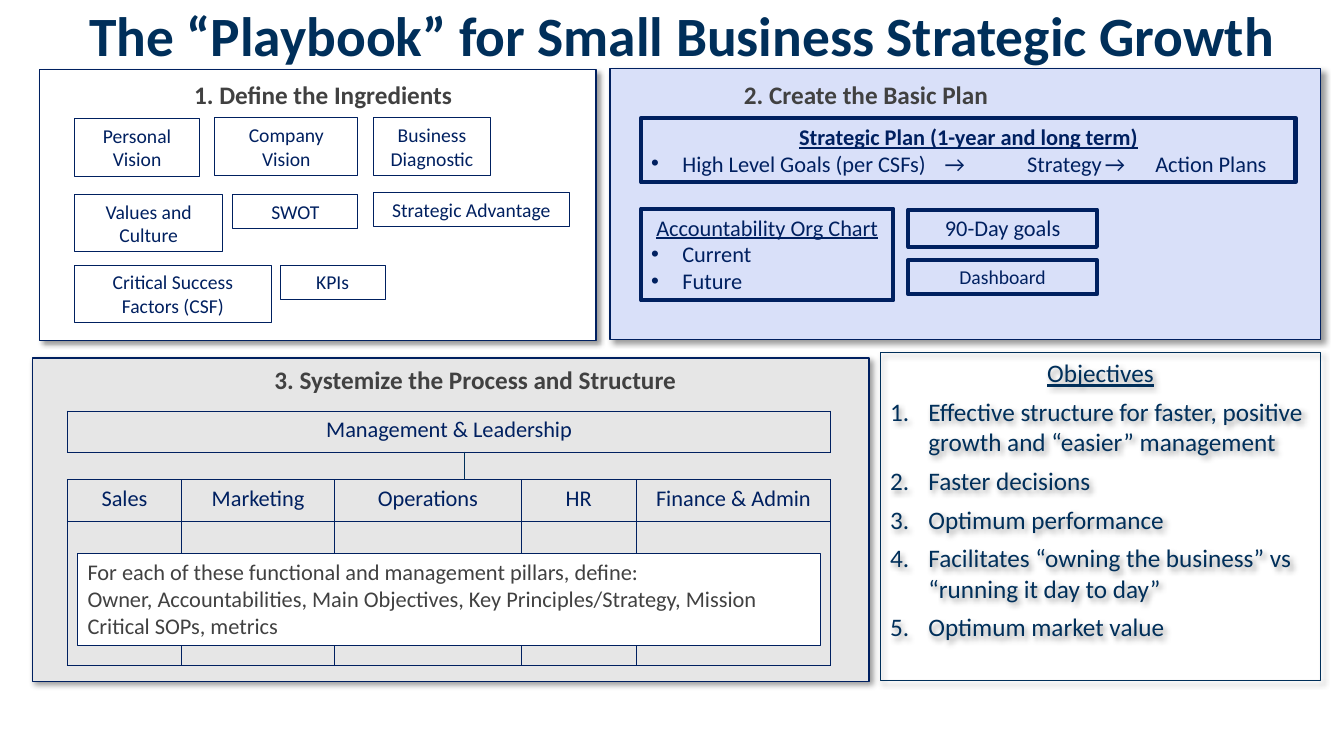
from lxml import etree
from pptx import Presentation
from pptx.dml.color import RGBColor
from pptx.enum.shapes import MSO_CONNECTOR, MSO_SHAPE
from pptx.enum.text import MSO_ANCHOR, MSO_AUTO_SIZE, PP_ALIGN
from pptx.oxml.ns import qn
from pptx.util import Inches, Pt

RECTANGLE = MSO_SHAPE.RECTANGLE
STRAIGHT = MSO_CONNECTOR.STRAIGHT
TOP, MIDDLE = MSO_ANCHOR.TOP, MSO_ANCHOR.MIDDLE
LEFT, CENTER = PP_ALIGN.LEFT, PP_ALIGN.CENTER
GROW, FIXED = MSO_AUTO_SIZE.SHAPE_TO_FIT_TEXT, MSO_AUTO_SIZE.NONE

NAVY = RGBColor(0x00, 0x20, 0x60)
DEEP_BLUE = RGBColor(0x00, 0x2F, 0x5A)
CHARCOAL = RGBColor(0x41, 0x41, 0x41)
WHITE = RGBColor(0xFF, 0xFF, 0xFF)
GREY = RGBColor(0xE6, 0xE6, 0xE6)
PALE_BLUE = RGBColor(0xD9, 0xE0, 0xF9)

HEADING = {"size": Pt(18), "bold": True}
SMALL = {"size": Pt(14)}
NORMAL = {"size": Pt(16)}
UNDERLINED = {"size": Pt(16), "underline": True}
PLAN_TITLE = {"size": Pt(16), "bold": True, "underline": True}
OBJECTIVE = {"size": Pt(18)}

PANELS = [
    ((0.32, 3.55, 8.3, 3.21), GREY),
    ((6.05, 0.68, 7.05, 2.69), PALE_BLUE),
    ((0.39, 0.69, 5.52, 2.69), WHITE),
]
HEADINGS = [
    ("1. Define the Ingredients", (0.58, 0.74, 5.25, 0.4)),
    ("2. Create the Basic Plan", (6.3, 0.74, 4.58, 0.4)),
    ("3. Systemize the Process and Structure", (0.93, 3.57, 7.57, 0.4)),
]
INGREDIENTS = [
    ("Personal Vision", (0.74, 1.18, 1.24, 0.57)),
    ("Company Vision", (2.13, 1.17, 1.42, 0.57)),
    ("Business Diagnostic", (3.7, 1.17, 1.17, 0.57)),
    ("Values and Culture", (0.74, 1.93, 1.47, 0.57)),
    ("SWOT", (2.31, 1.93, 1.24, 0.34)),
    ("Strategic Advantage", (3.7, 1.91, 1.95, 0.34)),
    ("Critical Success Factors (CSF)", (0.74, 2.63, 1.95, 0.57)),
    ("KPIs", (2.78, 2.63, 1.04, 0.34)),
]
PILLARS = ["Sales", "Marketing", "Operations", "HR", "Finance & Admin"]
PILLAR_WIDTHS = [1.13, 1.52, 1.85, 1.14, 1.93]
PLAN_STEPS = "High Level Goals (per CSFs)\t→\tStrategy\t→\tAction Plans"
PLAN_TABS = [2.51, 2.91, 3.73, 4.15]
OBJECTIVES = [
    "Effective structure for faster, positive growth and “easier” management",
    "Faster decisions",
    "Optimum performance",
    "Facilitates “owning the business” vs “running it day to day”",
    "Optimum market value",
]


def inches(values):
    return [Inches(value) for value in values]


def add_node(parent, tag, **attributes):
    node = etree.SubElement(parent, qn(tag))
    for name, value in attributes.items():
        node.set(name, str(value))
    return node


def write(para, text, look, color=NAVY, align=CENTER):
    para.alignment = align
    span = para.add_run()
    span.text = text
    span.font.name = "Calibri"
    span.font.color.rgb = color
    for name, value in look.items():
        setattr(span.font, name, value)


def add_list_item(box, text, look, color=NAVY, indent=0.31, numbered=False, tabs=()):
    para = box.text_frame.add_paragraph()
    settings = para._p.get_or_add_pPr()
    settings.set("marL", str(Inches(indent)))
    settings.set("indent", str(-Inches(indent)))
    if numbered:
        add_node(settings, "a:buFont", typeface="+mj-lt")
        add_node(settings, "a:buAutoNum", type="arabicPeriod")
    else:
        add_node(settings, "a:buFont", typeface="Arial")
        add_node(settings, "a:buChar", char="•")
    if tabs:
        stops = add_node(settings, "a:tabLst")
        for tab in tabs:
            add_node(stops, "a:tab", pos=Inches(tab), algn="l")
    write(para, text, look, color, LEFT)
    return para


def prepare_frame(box, size=GROW):
    frame = box.text_frame
    frame.word_wrap = True
    frame.auto_size = size
    frame.vertical_anchor = TOP
    return frame


def add_box(page, place, width=0.75, fill=None, line=NAVY, size=GROW):
    box = page.shapes.add_shape(RECTANGLE, *inches(place))
    box.shadow.inherit = False
    if fill is None:
        box.fill.background()
    else:
        box.fill.solid()
        box.fill.fore_color.rgb = fill
    box.line.color.rgb = line
    box.line.width = Pt(width)
    prepare_frame(box, size)
    return box


def add_label(page, text, place, look, width=0.75):
    box = add_box(page, place, width)
    write(box.text_frame.paragraphs[0], text, look)
    return box


def add_shadow(box):
    effects = box._element.spPr.find(qn("a:effectLst"))
    shadow = add_node(effects, "a:outerShdw", blurRad=Pt(4), dist=Pt(3),
                      dir=45 * 60000, algn="tl", rotWithShape=0)
    tint = add_node(shadow, "a:srgbClr", val="000000")
    add_node(tint, "a:alpha", val=40000)


def add_heading(page, text, place):
    box = page.shapes.add_textbox(*inches(place))
    write(prepare_frame(box).paragraphs[0], text, HEADING, CHARCOAL)


def add_grid(page, place, widths, heights, labels):
    grid = page.shapes.add_table(len(heights), len(widths), *inches(place)).table
    grid.first_row = False
    grid.horz_banding = False
    for column, width in zip(grid.columns, widths):
        column.width = Inches(width)
    for row, height in zip(grid.rows, heights):
        row.height = Inches(height)
    for cell in grid.iter_cells():
        settings = cell._tc.get_or_add_tcPr()
        for side in ("a:lnL", "a:lnR", "a:lnT", "a:lnB"):
            border = add_node(settings, side, w=Pt(1))
            add_node(add_node(border, "a:solidFill"), "a:srgbClr", val=NAVY)
        cell.fill.background()
    for column, label in enumerate(labels):
        write(grid.cell(0, column).text_frame.paragraphs[0], label, NORMAL)


def add_title(page):
    title = page.shapes.title
    title.left, title.top, title.width, title.height = inches((0.25, 0.07, 13.03, 0.63))
    frame = prepare_frame(title, FIXED)
    frame.vertical_anchor = MIDDLE
    para = frame.paragraphs[0]
    para.line_spacing = 0.9
    write(para, "The “Playbook” for Small Business Strategic Growth",
          {"size": Pt(39.6), "bold": True}, DEEP_BLUE)


def add_basic_plan(page):
    plan = add_label(page, "Strategic Plan (1-year and long term)",
                     (6.36, 1.17, 6.49, 0.64), PLAN_TITLE, 3)
    add_list_item(plan, PLAN_STEPS, NORMAL, tabs=PLAN_TABS)
    chart = add_label(page, "Accountability Org Chart", (6.36, 2.07, 2.5, 0.91), UNDERLINED, 3)
    for state in ("Current", "Future"):
        add_list_item(chart, state, NORMAL)
    add_label(page, "90-Day goals", (9.01, 2.08, 1.87, 0.37), NORMAL, 3)
    add_label(page, "Dashboard", (9.01, 2.58, 1.87, 0.34), SMALL, 3)


def add_structure(page):
    add_grid(page, (0.67, 4.76, 7.57, 1.84), PILLAR_WIDTHS, [0.41, 1.43], PILLARS)
    add_grid(page, (0.67, 4.08, 7.57, 0.41), [7.57], [0.41], ["Management & Leadership"])
    link = page.shapes.add_connector(STRAIGHT, *inches((4.61, 4.48, 4.61, 4.76)))
    link.line.color.rgb = DEEP_BLUE
    link.line.width = Pt(0.5)
    add_node(link._element.spPr, "a:effectLst")
    note = add_box(page, (0.77, 5.49, 7.37, 0.91), fill=WHITE)
    frame = note.text_frame
    write(frame.paragraphs[0], "For each of these functional and management pillars, define:",
          NORMAL, CHARCOAL, LEFT)
    write(frame.add_paragraph(), "Owner, Accountabilities, Main Objectives, Key "
          "Principles/Strategy, Mission Critical SOPs, metrics", NORMAL, CHARCOAL, LEFT)


def add_objectives(page):
    box = add_box(page, (8.73, 3.5, 4.37, 3.25), line=DEEP_BLUE, size=FIXED)
    add_shadow(box)
    write(box.text_frame.paragraphs[0], "Objectives", {"size": Pt(18), "underline": True}, DEEP_BLUE)
    for objective in OBJECTIVES:
        para = add_list_item(box, objective, OBJECTIVE, DEEP_BLUE, 0.38, numbered=True)
        para.space_before = Pt(6)


def main():
    deck = Presentation()
    deck.slide_width, deck.slide_height = inches((13.33, 7.5))
    page = deck.slides.add_slide(deck.slide_layouts[5])
    add_title(page)
    for place, fill in PANELS:
        add_shadow(add_box(page, place, 1, fill, size=FIXED))
    for text, place in HEADINGS:
        add_heading(page, text, place)
    for text, place in INGREDIENTS:
        add_label(page, text, place, SMALL)
    add_basic_plan(page)
    add_structure(page)
    add_objectives(page)
    deck.save("out.pptx")


if __name__ == "__main__":
    main()
